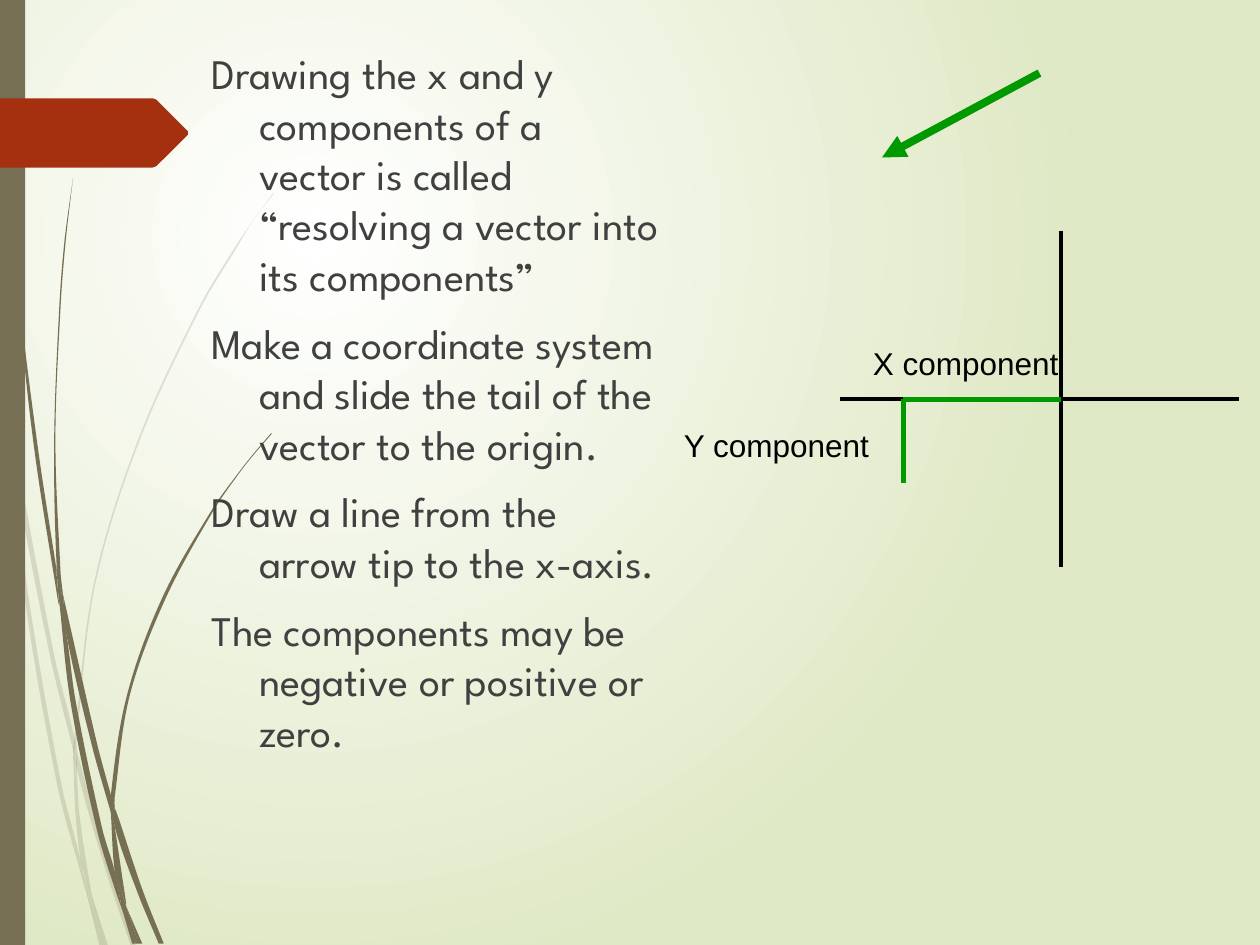
from math import dist
from pptx import Presentation
from pptx.dml.color import RGBColor
from pptx.enum.shapes import MSO_CONNECTOR, MSO_SHAPE
from pptx.oxml import parse_xml
from pptx.oxml.ns import qn
from pptx.util import Pt
from lxml.etree import SubElement

PX = 9144  # 100 px to the inch
WIDE, HIGH = 1000, 750
OLIVE, RUST, GREEN, BLACK, GREY = "766F54", "A53010", "009900", "000000", "404040"

STEPS = [
    "Drawing the x and y components of a vector is called "
    "“resolving a vector into its components”",
    "Make a coordinate system and slide the tail of the vector to the origin.",
    "Draw a line from the arrow tip to the x-axis.",
    "The components may be negative or positive or zero.",
]
LABELS = [("X component", (683, 268, 183, 40)), ("Y component", (533, 333, 175, 40))]

# start, end, colour, width in points, arrowhead
LINES = [
    ((825, 58), (700, 125), GREEN, 4.5, True),
    ((842, 183), (842, 450), BLACK, 2.25, False),
    ((667, 317), (983, 317), BLACK, 2.25, False),
    ((717, 383), (717, 317), GREEN, 3, False),
    ((842, 317), (717, 317), GREEN, 3, False),
]

# Outline anchors of the grass blades
PALE = [
    [(8, 350), (6, 322), (0, 282), (0, 299), (7, 344)],
    [(40, 522), (59, 599), (59, 586), (43, 520), (10, 345), (12, 376)],
    [(64, 607), (61, 596), (61, 610), (85, 694), (104, 751), (108, 751), (88, 692)],
    [(83, 751), (86, 751), (73, 711)],
    [(64, 683), (48, 619), (22, 469), (12, 376), (8, 350), (19, 470), (45, 621),
     (64, 693), (70, 714), (69, 707)],
    [(58, 599), (60, 646), (64, 683), (67, 692), (73, 711), (72, 706), (63, 646),
     (61, 610), (61, 608)],
    [(61, 584), (76, 462), (111, 349), (159, 245), (187, 198), (201, 175), (217, 154),
     (217, 153), (201, 175), (186, 197), (158, 244), (110, 348), (75, 461), (59, 584),
     (59, 586), (61, 596)],
    [(70, 714), (79, 751), (82, 751)],
    [(61, 608), (61, 610), (61, 596), (59, 586), (58, 599)],
    [(67, 692), (65, 683), (69, 707), (70, 714), (82, 751), (83, 751), (73, 711)],
]
DARK = [
    [(5, 110), (14, 233), (27, 355), (46, 477), (47, 481), (45, 457), (45, 453),
     (30, 355), (15, 232), (6, 109), (4, 48), (3, 0), (2, 0), (3, 48)],
    [(73, 592), (88, 645), (88, 633), (88, 631), (77, 590), (50, 472), (53, 505)],
    [(94, 649), (91, 641), (91, 656), (109, 708), (126, 749), (130, 749), (113, 706)],
    [(91, 691), (81, 657), (60, 556), (53, 505), (47, 477), (56, 557), (77, 659),
     (92, 708), (97, 722), (96, 717)],
    [(50, 472), (48, 453), (44, 349), (48, 245), (52, 193), (58, 141), (51, 193),
     (47, 245), (43, 349), (45, 449), (49, 472)],
    [(110, 749), (113, 749), (100, 719)],
    [(47, 477), (53, 505), (50, 472), (49, 472), (45, 449), (45, 453)],
    [(91, 633), (103, 552), (131, 476), (169, 406), (191, 374), (203, 359), (216, 344),
     (215, 344), (203, 358), (191, 373), (168, 405), (129, 474), (101, 551), (88, 631),
     (91, 641)],
    [(97, 722), (105, 749), (108, 749)],
    [(88, 645), (91, 691), (96, 706), (100, 719), (100, 716), (91, 656), (90, 651)],
    [(88, 645), (90, 651), (91, 656), (91, 641), (88, 631), (88, 633)],
    [(96, 706), (91, 691), (96, 717), (97, 722), (108, 749), (110, 749), (100, 719)],
]
TAG = [(149, 107), (124, 132), (121, 133), (0, 133), (0, 78), (121, 78), (124, 79),
       (149, 104)]


def rgb(code):
    return RGBColor.from_string(code)


def unit(a, b):
    size = dist(a, b) or 1
    return (b[0] - a[0]) / size, (b[1] - a[1]) / size


def bend(prev, here, ahead):
    """Direction of a smooth point; None at a corner."""
    u, v = unit(prev, here), unit(here, ahead)
    tight = min(dist(prev, here), dist(here, ahead)) < 5
    if tight or u[0] * v[0] + u[1] * v[1] < 0.8:
        return None
    return unit(prev, ahead)


def soften(shape, knots):
    """Turn the straight sides that meet at smooth points into cubic curves."""
    ring = knots + knots[:1]
    turns = [bend(knots[i - 1], a, ring[i + 1]) for i, a in enumerate(knots)]
    sides = list(shape._element.iter(qn("a:lnTo")))
    for side, a, b, near, far in zip(sides, ring, ring[1:], turns, turns[1:] + turns[:1]):
        if not near and not far:
            continue
        chord, reach = unit(a, b), dist(a, b) / 3
        near, far = near or chord, far or chord
        side.tag = qn("a:cubicBezTo")
        for i, (spot, way, sign) in enumerate(((a, near, 1), (b, far, -1))):
            x, y = (spot[n] + sign * reach * way[n] for n in (0, 1))
            handle = SubElement(side, qn("a:pt"), x=str(round(x * PX - shape.left)),
                                y=str(round(y * PX - shape.top)))
            side.insert(i, handle)


def paint(shape, color, alpha=None):
    shape.shadow.inherit = False
    shape.fill.solid()
    shape.fill.fore_color.rgb = rgb(color)
    shape.line.fill.background()
    if alpha:
        tone = shape._element.spPr.find(qn("a:solidFill"))[0]
        SubElement(tone, qn("a:alpha"), val=str(alpha * 1000))


def blob(slide, knots, color, alpha=None):
    spots = [(x * PX, y * PX) for x, y in knots]
    pen = slide.shapes.build_freeform(*spots[0], scale=1.0)
    pen.add_line_segments(spots[1:] + spots[:1], close=True)
    shape = pen.convert_to_shape()
    soften(shape, knots)
    paint(shape, color, alpha)


def write(slide, box, lines, color, font, hang=0):
    frame = slide.shapes.add_textbox(*(n * PX for n in box)).text_frame
    frame.word_wrap = True
    for i, line in enumerate(lines):
        para = frame.paragraphs[0] if i == 0 else frame.add_paragraph()
        para.text = line
        if hang:
            props = para._p.get_or_add_pPr()
            props.set("marL", str(hang * PX))
            props.set("indent", str(-hang * PX))
        if i:
            para.space_before = Pt(10)
        for key, value in font.items():
            setattr(para.font, key, value)
        para.font.color.rgb = rgb(color)


def rule(slide, start, end, color, width, arrow):
    ends = (n * PX for n in start + end)
    line = slide.shapes.add_connector(MSO_CONNECTOR.STRAIGHT, *ends)
    line.line.color.rgb = rgb(color)
    line.line.width = Pt(width)
    if arrow:
        SubElement(line._element.spPr.find(qn("a:ln")), qn("a:tailEnd"), type="triangle")
    SubElement(line._element.spPr, qn("a:effectLst"))


def backdrop(slide):
    space = ('xmlns:p="http://schemas.openxmlformats.org/presentationml/2006/main" '
             'xmlns:a="http://schemas.openxmlformats.org/drawingml/2006/main"')
    stops = "".join(f'<a:gs pos="{pos}"><a:srgbClr val="{tone}"/></a:gs>'
                    for pos, tone in ((0, "FFFFFF"), (100000, "DFE8C4")))
    slide._element.cSld.insert(0, parse_xml(
        f'<p:bg {space}><p:bgPr><a:gradFill rotWithShape="1"><a:gsLst>{stops}</a:gsLst>'
        '<a:path path="circle"><a:fillToRect l="50000" t="50000" r="100000" b="100000"/>'
        '</a:path></a:gradFill><a:effectLst/></p:bgPr></p:bg>'))


def main():
    deck = Presentation()
    deck.slide_width, deck.slide_height = WIDE * PX, HIGH * PX
    slide = deck.slides.add_slide(deck.slide_layouts[6])
    backdrop(slide)

    # Grass, side bar and tag
    for blades, alpha in ((PALE, 20), (DARK, None)):
        for knots in blades:
            blob(slide, knots, OLIVE, alpha)
    bar = slide.shapes.add_shape(MSO_SHAPE.RECTANGLE, 0, 0, 20 * PX, HIGH * PX)
    paint(bar, OLIVE)
    blob(slide, TAG, RUST)

    # Steps and labels
    write(slide, (158, 33, 375, 717), STEPS, GREY,
          {"name": "League Spartan", "size": Pt(24)}, hang=38)
    for text, box in LABELS:
        write(slide, box, [text], BLACK, {"name": "Arial", "size": Pt(18)})

    # Vector, axes and components
    for item in LINES:
        rule(slide, *item)
    deck.save("out.pptx")


if __name__ == "__main__":
    main()
